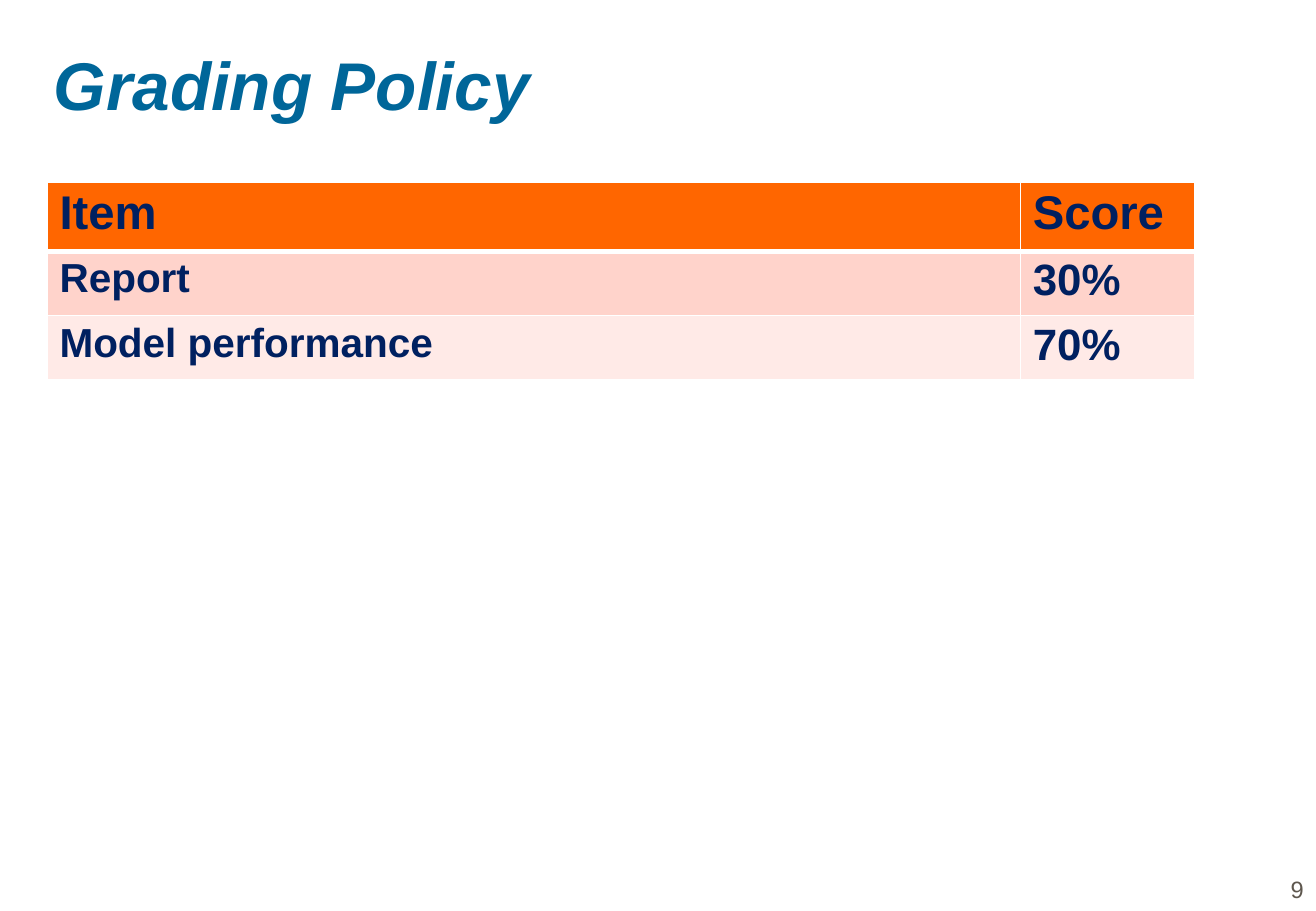
"""Build the Grading Policy slide with its score table."""
import pptx
import pptx.util
import pptx.dml.color
import pptx.enum.text
import pptx.oxml
import pptx.oxml.ns

COLORS = {
    "title": "006699", "text": "002060", "number": "5E574E", "border": "FFFFFF",
    "header": "FF6600", "band1": "FFD3CB", "band2": "FFEAE7",
}
ROWS = [("Item", "Score"), ("Report", "30%"), ("Model performance", "70%")]
FILLS = ["header", "band1", "band2"]
SIZES = [(28, 28), (24, 26), (24, 26)]
COLUMN_WIDTHS = [73.96, 13.2]
ROW_HEIGHTS = [7.6, 7.07, 7.07]


class Deck:
    """Hold the style and the current slide; lengths are percent of the slide."""

    def __init__(self, width, height, font="Arial"):
        self.prs = pptx.Presentation()
        self.prs.slide_width = pptx.util.Inches(width)
        self.prs.slide_height = pptx.util.Inches(height)
        self.font = font
        self.s = self.prs.slides.add_slide(self.prs.slide_layouts[5])

    def x(self, share):
        return round(self.prs.slide_width * share / 100)

    def y(self, share):
        return round(self.prs.slide_height * share / 100)

    def box(self, left, top, width, height):
        return self.x(left), self.y(top), self.x(width), self.y(height)

    def color(self, name):
        return pptx.dml.color.RGBColor.from_string(COLORS[name])

    def set_text(self, tf, text, size, color, bold=False, italic=False):
        tf.text = text
        p = tf.paragraphs[0]
        p.alignment = pptx.enum.text.PP_ALIGN.LEFT
        for r in p.runs:
            r.font.name = self.font
            r.font.size = pptx.util.Pt(size)
            r.font.bold = bold
            r.font.italic = italic
            r.font.color.rgb = self.color(color)
        return p

    def plain_frame(self, tf):
        tf.margin_left = tf.margin_right = tf.margin_top = tf.margin_bottom = 0
        tf.auto_size = pptx.enum.text.MSO_AUTO_SIZE.NONE
        tf.word_wrap = True

    def title(self, text, *box):
        sp = self.s.shapes.title
        sp.left, sp.top, sp.width, sp.height = self.box(*box)
        tf = sp.text_frame
        self.plain_frame(tf)
        tf.margin_left = pptx.util.Inches(0.01)
        tf.vertical_anchor = pptx.enum.text.MSO_ANCHOR.BOTTOM
        self.set_text(tf, text, 40, "title", bold=True, italic=True)

    def page_number(self, text, *box):
        tf = self.s.shapes.add_textbox(*self.box(*box)).text_frame
        self.plain_frame(tf)
        tf.margin_left = pptx.util.Inches(0.04)
        p = self.set_text(tf, text, 14, "number")
        p.line_spacing = pptx.util.Pt(16.5)

    def borders(self, cell, top, bottom):
        tc_pr = cell._tc.get_or_add_tcPr()
        for side, points in (("L", 1), ("R", 1), ("T", top), ("B", bottom)):
            tc_pr.append(pptx.oxml.parse_xml(
                f'<a:ln{side} {pptx.oxml.ns.nsdecls("a")} w="{pptx.util.Pt(points)}">'
                f'<a:solidFill><a:srgbClr val="{COLORS["border"]}"/></a:solidFill>'
                f'</a:ln{side}>'))

    def table(self, left, top):
        box = self.box(left, top, sum(COLUMN_WIDTHS), sum(ROW_HEIGHTS))
        table = self.s.shapes.add_table(len(ROWS), len(COLUMN_WIDTHS), *box).table
        for column, width in zip(table.columns, COLUMN_WIDTHS):
            column.width = self.x(width)
        for i, (row, height) in enumerate(zip(table.rows, ROW_HEIGHTS)):
            row.height = self.y(height)
            for cell, text, size in zip(row.cells, ROWS[i], SIZES[i]):
                cell.margin_left = pptx.util.Inches(0.1)
                cell.margin_top = pptx.util.Inches(0.04)
                cell.margin_right = cell.margin_bottom = 0
                self.borders(cell, 3 if i == 1 else 1, 3 if i == 0 else 1)
                cell.fill.solid()
                cell.fill.fore_color.rgb = self.color(FILLS[i])
                self.set_text(cell.text_frame, text, size, "text", bold=True)


def main():
    deck = Deck(10.83, 7.5)
    deck.title("Grading Policy", 4, 4.4, 40, 9.2)
    deck.table(3.6, 20)
    deck.page_number("9", 97.7, 96.1, 1.8, 3.3)
    deck.prs.save("out.pptx")


if __name__ == "__main__":
    main()
